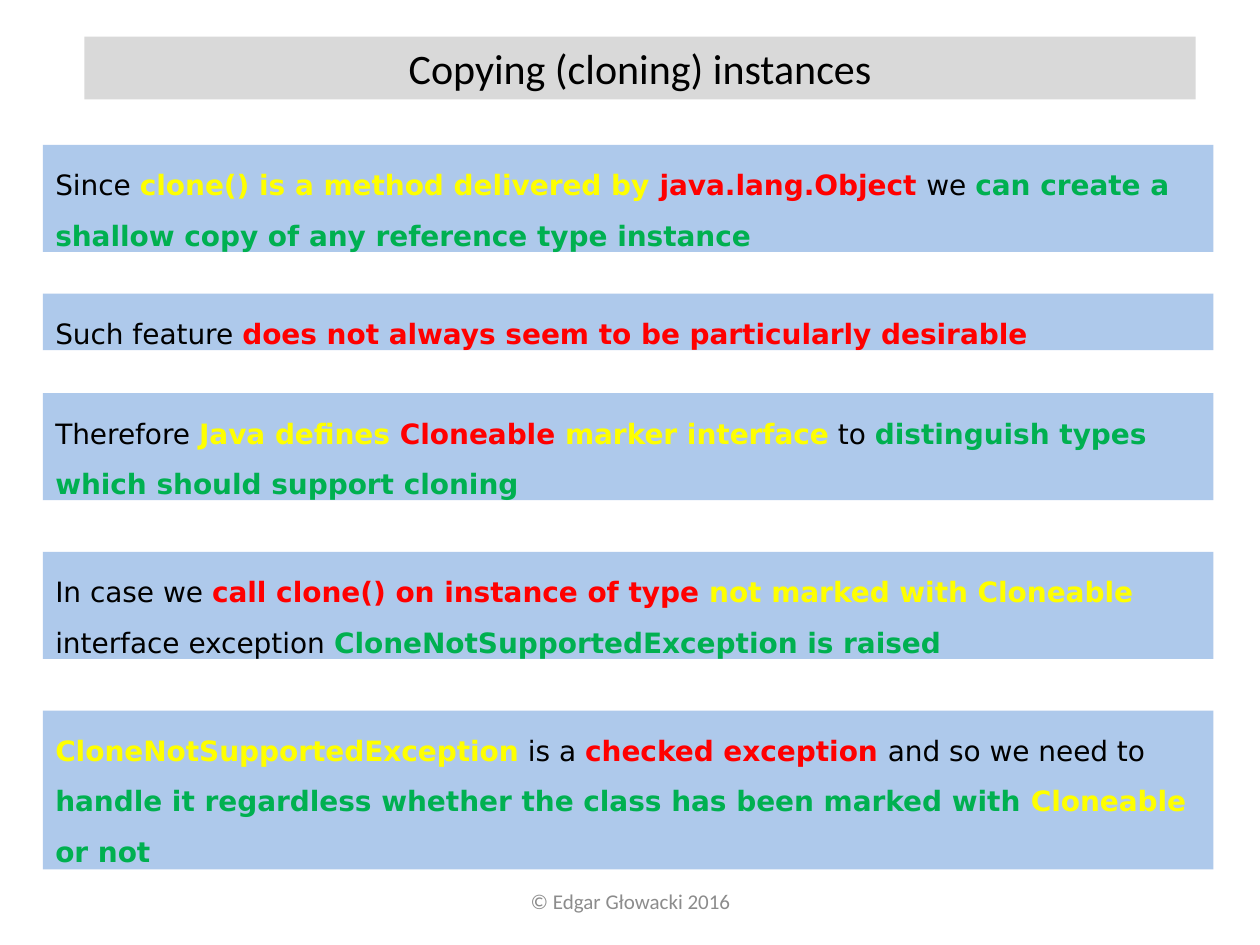
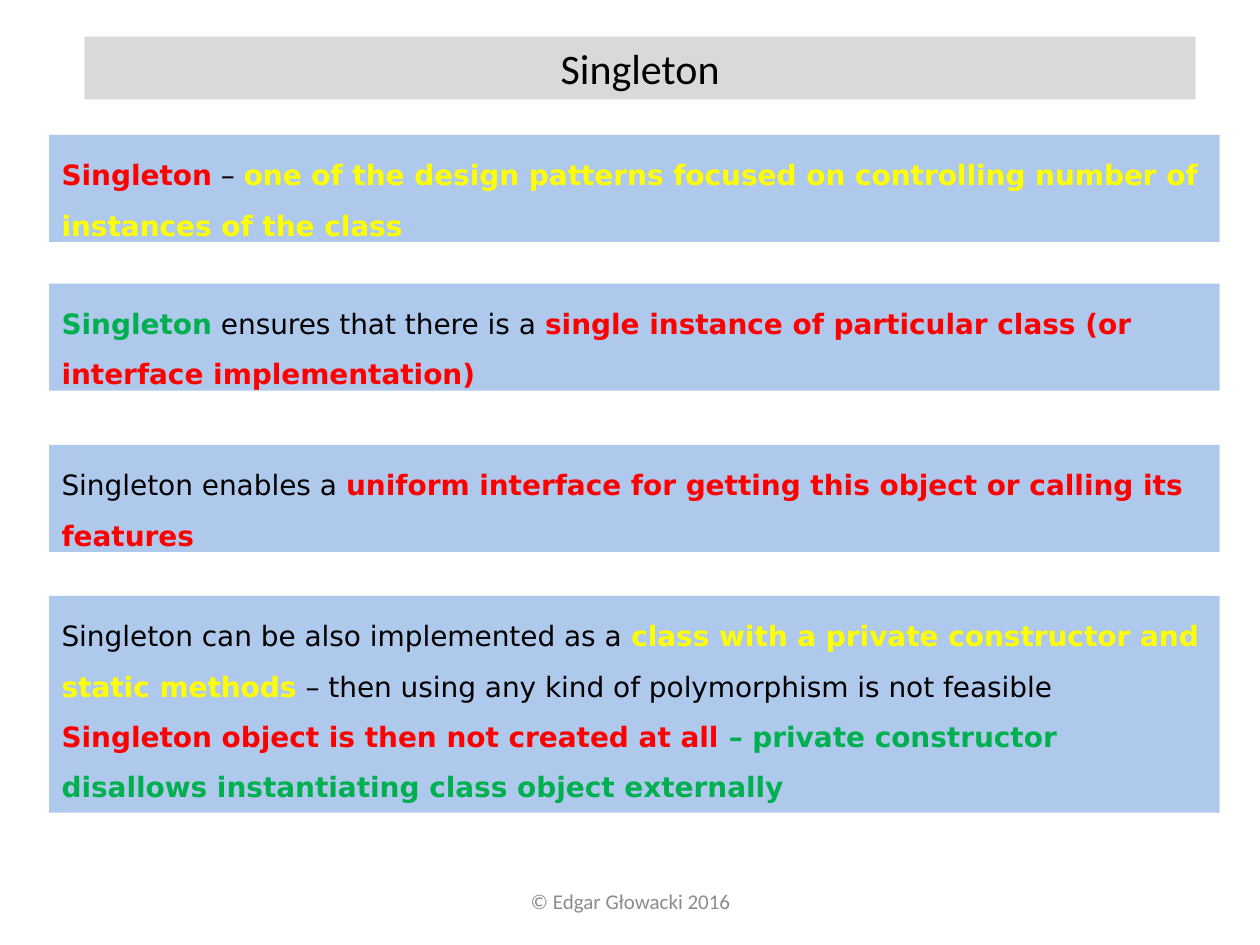
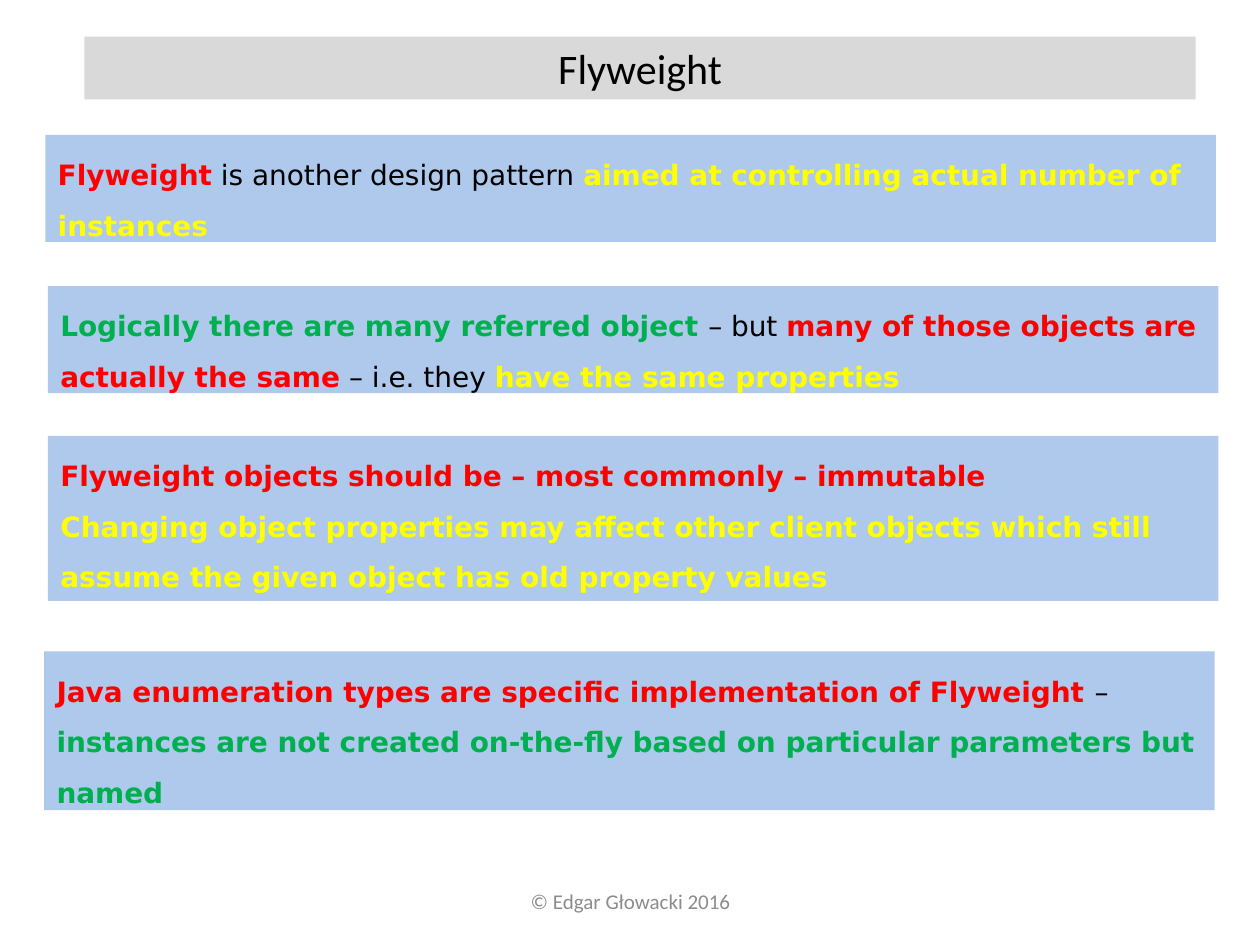
from dataclasses import dataclass

from lxml import etree
from pptx import Presentation
from pptx.dml.color import RGBColor
from pptx.enum.shapes import MSO_SHAPE
from pptx.enum.text import MSO_ANCHOR, MSO_AUTO_SIZE, PP_ALIGN
from pptx.oxml.ns import qn
from pptx.util import Inches, Pt

RECTANGLE = MSO_SHAPE.RECTANGLE
TOP, MIDDLE = MSO_ANCHOR.TOP, MSO_ANCHOR.MIDDLE
LEFT, CENTER = PP_ALIGN.LEFT, PP_ALIGN.CENTER
GROW = MSO_AUTO_SIZE.SHAPE_TO_FIT_TEXT
BLANK_LAYOUT = 6


@dataclass(frozen=True)
class Theme:
    black: str = "000000"
    red: str = "FF0000"
    yellow: str = "FFFF00"
    green: str = "00B050"
    title_band: str = "D9D9D9"
    panel: str = "8EB4E3"
    panel_opacity: int = 71
    footer_text: str = "8C8C8C"
    heading_font: str = "Calibri"
    body_font: str = "DejaVu Sans"
    title_size: int = 24
    body_size: int = 16
    footer_size: int = 12
    body_spacing: float = 1.5


THEME = Theme()
SLIDE_WIDTH, SLIDE_HEIGHT = Inches(10), Inches(7.5)
COLUMN = SLIDE_WIDTH / 100
ROW = SLIDE_HEIGHT / 75
PANEL_COLUMNS = 92.9
ONE_LINE, TWO_LINES, THREE_LINES = 4.5, 8.5, 12.6
TITLE_AREA = (6.7, 2.9, 88.2, 5)
FOOTER_AREA = (34.2, 69.5, 31.7, 4)
FOOTER = "© Edgar Głowacki 2016"


def black(text):
    return text, THEME.black, False


def red(text):
    return text, THEME.red, True


def yellow(text):
    return text, THEME.yellow, True


def green(text):
    return text, THEME.green, True


def place(area):
    left, top, width, height = area
    return (round(left * COLUMN), round(top * ROW),
            round(width * COLUMN), round(height * ROW))


def write_text(para, text, *, font, size, color, bold=False):
    span = para.add_run()
    span.text = text
    span.font.name = font
    span.font.size = Pt(size)
    span.font.bold = bold
    span.font.color.rgb = RGBColor.from_string(color)


def add_band(page, area, color, opacity=100):
    band = page.shapes.add_shape(RECTANGLE, *place(area))
    band.shadow.inherit = False
    band.line.fill.background()
    band.fill.solid()
    band.fill.fore_color.rgb = RGBColor.from_string(color)
    if opacity < 100:
        fill_color = band.fill._xPr.find(f".//{qn('a:srgbClr')}")
        etree.SubElement(fill_color, qn("a:alpha"), val=str(opacity * 1000))
    frame = band.text_frame
    frame.word_wrap = True
    frame.auto_size = GROW
    frame.vertical_anchor = TOP
    return frame


def add_title(page, title):
    para = add_band(page, TITLE_AREA, THEME.title_band).paragraphs[0]
    para.alignment = CENTER
    write_text(para, title, font=THEME.heading_font,
               size=THEME.title_size, color=THEME.black)


def add_footer(page):
    frame = page.shapes.add_textbox(*place(FOOTER_AREA)).text_frame
    frame.word_wrap = True
    frame.vertical_anchor = MIDDLE
    para = frame.paragraphs[0]
    para.alignment = CENTER
    write_text(para, FOOTER, font=THEME.heading_font,
               size=THEME.footer_size, color=THEME.footer_text)


def add_panel(page, left, top, height, *paragraphs):
    area = (left, top, PANEL_COLUMNS, height)
    frame = add_band(page, area, THEME.panel, THEME.panel_opacity)
    for index, spans in enumerate(paragraphs):
        para = frame.add_paragraph() if index else frame.paragraphs[0]
        para.alignment = LEFT
        para.line_spacing = THEME.body_spacing
        for text, color, bold in spans:
            write_text(para, text, font=THEME.body_font,
                       size=THEME.body_size, color=color, bold=bold)


def add_page(deck, title, panels):
    page = deck.slides.add_slide(deck.slide_layouts[BLANK_LAYOUT])
    add_footer(page)
    add_title(page, title)
    for panel in panels:
        add_panel(page, *panel)


CLONING = [
    (3.4, 11.5, TWO_LINES, [
        black("Since "), yellow("clone() is a method delivered by "),
        red("java.lang.Object "), black("we "),
        green("can create a shallow copy of any reference type instance")]),
    (3.4, 23.3, ONE_LINE, [
        black("Such feature "),
        red("does not always seem to be particularly desirable")]),
    (3.4, 31.2, TWO_LINES, [
        black("Therefore "), yellow("Java defines "), red("Cloneable"),
        yellow(" marker interface"), black(" to "),
        green("distinguish types which should support cloning")]),
    (3.4, 43.8, TWO_LINES, [
        black("In case we "), red("call clone() on instance of type "),
        yellow("not marked with Cloneable "), black("interface exception "),
        green("CloneNotSupportedException is raised")]),
    (3.4, 56.4, THREE_LINES, [
        yellow("CloneNotSupportedException"), black(" is a "),
        red("checked exception "), black("and so we need to "),
        green("handle it regardless whether the class has been marked with "),
        yellow("Cloneable"), green(" or not")]),
]

SINGLETON = [
    (3.9, 10.7, TWO_LINES, [
        red("Singleton"), black(" – "),
        yellow("one of the design patterns focused on controlling number of "
               "instances of the class")]),
    (3.9, 22.5, TWO_LINES, [
        green("Singleton"), black(" ensures that there is a "),
        red("single instance of particular class (or interface "
            "implementation)")]),
    (3.9, 35.3, TWO_LINES, [
        black("Singleton enables a "),
        red("uniform interface for getting this object or calling its "
            "features")]),
    (3.9, 47.3, 17.2,
     [black("Singleton can be also implemented as a "),
      yellow("class with a private constructor and static methods"),
      black(" – then using any kind of polymorphism is not feasible")],
     [red("Singleton object is then not created at all "),
      green("– private constructor disallows instantiating class object "
            "externally")]),
]

FLYWEIGHT = [
    (3.6, 10.7, TWO_LINES, [
        red("Flyweight"), black(" is another design pattern "),
        yellow("aimed at controlling actual number of instances")]),
    (3.8, 22.7, TWO_LINES, [
        green("Logically there are many referred object "), black("– but "),
        red("many of those objects are actually the same"),
        black(" – i.e. they "), yellow("have the same properties")]),
    (3.8, 34.6, 13.1,
     [red("Flyweight objects should be – most commonly – immutable")],
     [yellow("Changing object properties may affect other client objects "
             "which still assume the given object has old property values")]),
    (3.5, 51.7, THREE_LINES, [
        red("Java enumeration types are specific implementation of "
            "Flyweight "),
        black("– "),
        green("instances are not created on-the-fly based on particular "
              "parameters but named")]),
]


def main():
    deck = Presentation()
    deck.slide_width, deck.slide_height = SLIDE_WIDTH, SLIDE_HEIGHT
    add_page(deck, "Copying (cloning) instances", CLONING)
    add_page(deck, "Singleton", SINGLETON)
    add_page(deck, "Flyweight", FLYWEIGHT)
    deck.save("out.pptx")


if __name__ == "__main__":
    main()
